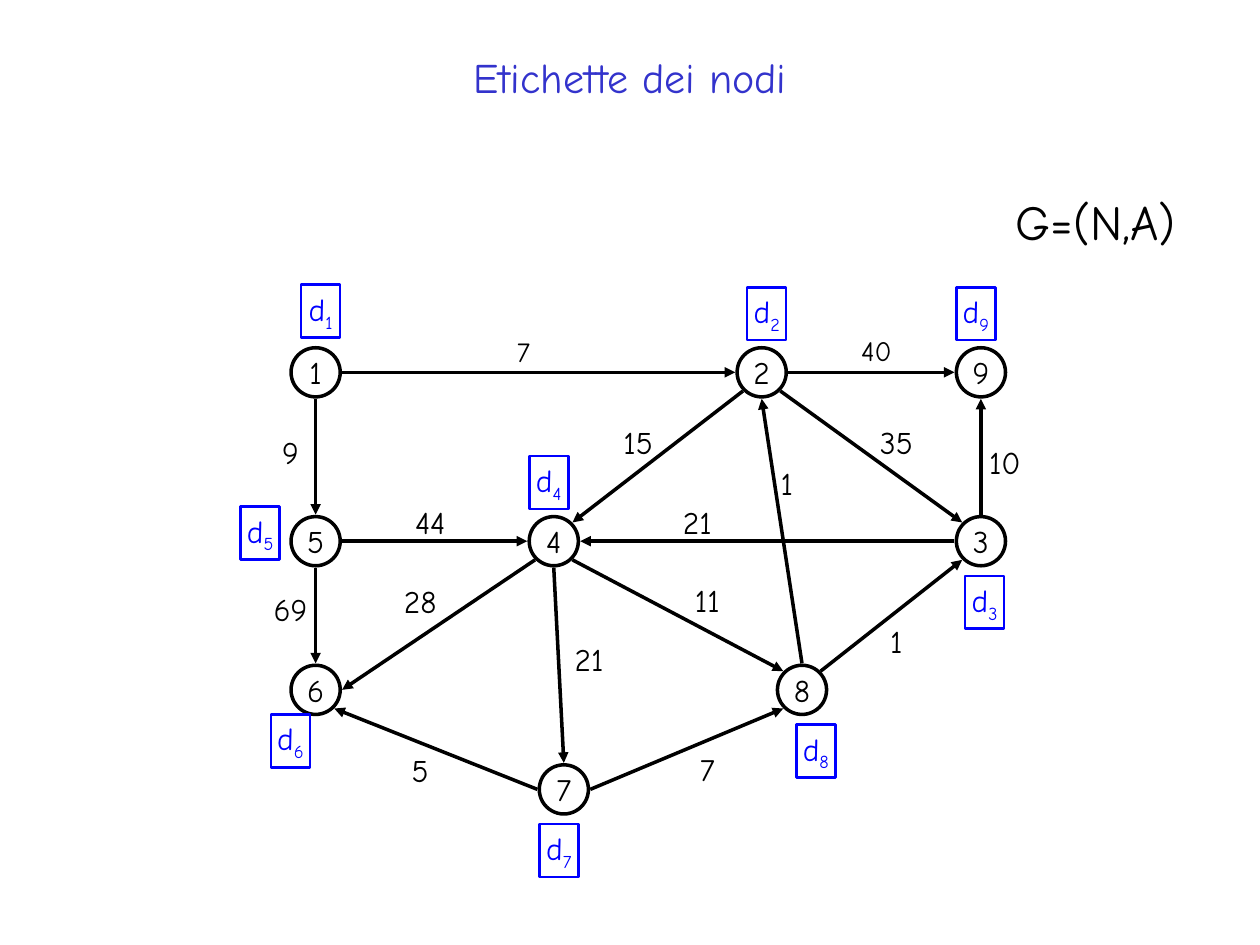
from math import cos, radians, sin

from lxml.etree import SubElement
from pptx import Presentation
from pptx.dml.color import RGBColor
from pptx.enum.shapes import MSO_CONNECTOR, MSO_SHAPE
from pptx.enum.text import MSO_ANCHOR, MSO_AUTO_SIZE, PP_ALIGN
from pptx.oxml.ns import qn
from pptx.util import Inches, Pt

COLORS = {"ink": "000000", "title": "3333CC", "label": "0000FF", "paper": "FFFFFF"}
FONT = "Comic Neue"
NODE_SIZE = 0.39
ARROW_RADIUS = 0.21
ANGLES = {"E": 0, "SE": 45, "S": 90, "SW": 135, "W": 180, "NW": 225, "N": 270, "NE": 315}

NODES = {
    "1": (2.31, 2.76), "5": (2.31, 4.1), "6": (2.31, 5.28),
    "4": (4.2, 4.1), "7": (4.28, 6.07), "2": (5.85, 2.76),
    "3": (7.59, 4.1), "8": (6.17, 5.28), "9": (7.59, 2.76),
}
DISTANCES = {
    "1": (2.39, 2.26), "2": (5.93, 2.28), "9": (7.59, 2.28),
    "5": (1.91, 4.02), "6": (2.15, 5.67), "7": (4.28, 6.54),
    "8": (6.32, 5.75), "3": (7.66, 4.57), "4": (4.2, 3.62),
}
EDGES = [
    ("1", "E", "2", "W", "7", 3.92, 2.61, 16),
    ("1", "S", "5", "N", "9", 2.07, 3.39, 18),
    ("5", "S", "6", "N", "69", 2.07, 4.63, 18),
    ("5", "E", "4", "W", "44", 3.18, 3.94, 18),
    ("4", "SW", "6", "E", "28", 3.1, 4.57, 18),
    ("4", "S", "7", "N", "21", 4.44, 5.03, 18),
    ("4", "SE", "8", "NW", "11", 5.38, 4.56, 18),
    ("7", "W", "6", "SE", "5", 3.1, 5.91, 18),
    ("7", "E", "8", "SW", "7", 5.38, 5.9, 18),
    ("2", "SW", "4", "NE", "15", 4.83, 3.31, 18),
    ("2", "SE", "3", "NW", "35", 6.88, 3.31, 18),
    ("2", "E", "9", "W", "40", 6.72, 2.6, 16),
    ("3", "W", "4", "E", "21", 5.3, 3.94, 18),
    ("3", "N", "9", "S", "10", 7.74, 3.47, 18),
    ("8", "N", "2", "S", "1", 6.01, 3.63, 18),
    ("8", "NE", "3", "SW", "1", 6.88, 4.89, 18),
]


def rgb(name):
    return RGBColor.from_string(COLORS[name])


def anchor(node, side):
    left, top = NODES[node]
    angle = radians(ANGLES[side])
    return (Inches(left + NODE_SIZE / 2 + ARROW_RADIUS * cos(angle)),
            Inches(top + NODE_SIZE / 2 + ARROW_RADIUS * sin(angle)))


class GraphSlide:
    def __init__(self, prs):
        self.slide = prs.slides.add_slide(prs.slide_layouts[5])
        self.shapes = self.slide.shapes

    def format_text(self, sp, size, color, anchor=MSO_ANCHOR.MIDDLE, inset=0, wrap=True):
        tf = sp.text_frame
        tf.auto_size = MSO_AUTO_SIZE.NONE
        tf.word_wrap = wrap
        tf.vertical_anchor = anchor
        tf.margin_left = tf.margin_right = Inches(inset)
        tf.margin_top = tf.margin_bottom = Inches(0.05)
        p = tf.paragraphs[0]
        p.alignment = PP_ALIGN.CENTER
        for r in p.runs:
            r.font.name = FONT
            r.font.size = Pt(size)
            r.font.color.rgb = rgb(color)

    def title(self, text):
        sp = self.shapes.title
        sp.left, sp.top = Inches(0.5), Inches(0.14)
        sp.width, sp.height = Inches(9), Inches(0.93)
        sp.text_frame.text = text
        self.format_text(sp, 24, "title", inset=0.1)

    def text(self, text, left, top, width, height, size):
        sp = self.shapes.add_textbox(Inches(left), Inches(top), Inches(width), Inches(height))
        sp.text_frame.text = text
        self.format_text(sp, size, "ink", anchor=MSO_ANCHOR.TOP)

    def node(self, name, left, top):
        sp = self.shapes.add_shape(MSO_SHAPE.OVAL, Inches(left), Inches(top),
                                   Inches(NODE_SIZE), Inches(NODE_SIZE))
        sp.shadow.inherit = False
        sp.fill.solid()
        sp.fill.fore_color.rgb = rgb("paper")
        sp.line.color.rgb = rgb("ink")
        sp.line.width = Pt(2)
        sp.text_frame.text = name
        self.format_text(sp, 18, "ink", wrap=False)

    def distance(self, index, left, top):
        sp = self.shapes.add_shape(MSO_SHAPE.RECTANGLE, Inches(left), Inches(top),
                                   Inches(0.31), Inches(0.42))
        sp.shadow.inherit = False
        sp.fill.background()
        sp.line.color.rgb = rgb("label")
        sp.line.width = Pt(1.5)
        sp.text_frame.text = "d"
        r = sp.text_frame.paragraphs[0].add_run()
        r.text = index
        self.format_text(sp, 18, "label")
        r.font._element.set("baseline", "-25000")

    def edge(self, start, start_side, end, end_side):
        line = self.shapes.add_connector(MSO_CONNECTOR.STRAIGHT, *anchor(start, start_side),
                                         *anchor(end, end_side))
        line.line.color.rgb = rgb("ink")
        line.line.width = Pt(2)
        SubElement(line.line._get_or_add_ln(), qn("a:tailEnd"), type="triangle")
        SubElement(line._element.spPr, qn("a:effectLst"))


def main():
    prs = Presentation()
    prs.slide_width, prs.slide_height = Inches(10), Inches(7.5)
    s = GraphSlide(prs)
    s.title("Etichette dei nodi")
    for start, start_side, end, end_side, *_ in EDGES:
        s.edge(start, start_side, end, end_side)
    for name, position in NODES.items():
        s.node(name, *position)
    for *_, cost, left, top, size in EDGES:
        s.text(cost, left, top, 0.47, 0.4 if size == 18 else 0.37, size)
    s.text("G=(N,A)", 7.91, 1.47, 1.57, 0.57, 28)
    for index, position in DISTANCES.items():
        s.distance(index, *position)
    prs.save("out.pptx")


if __name__ == "__main__":
    main()
